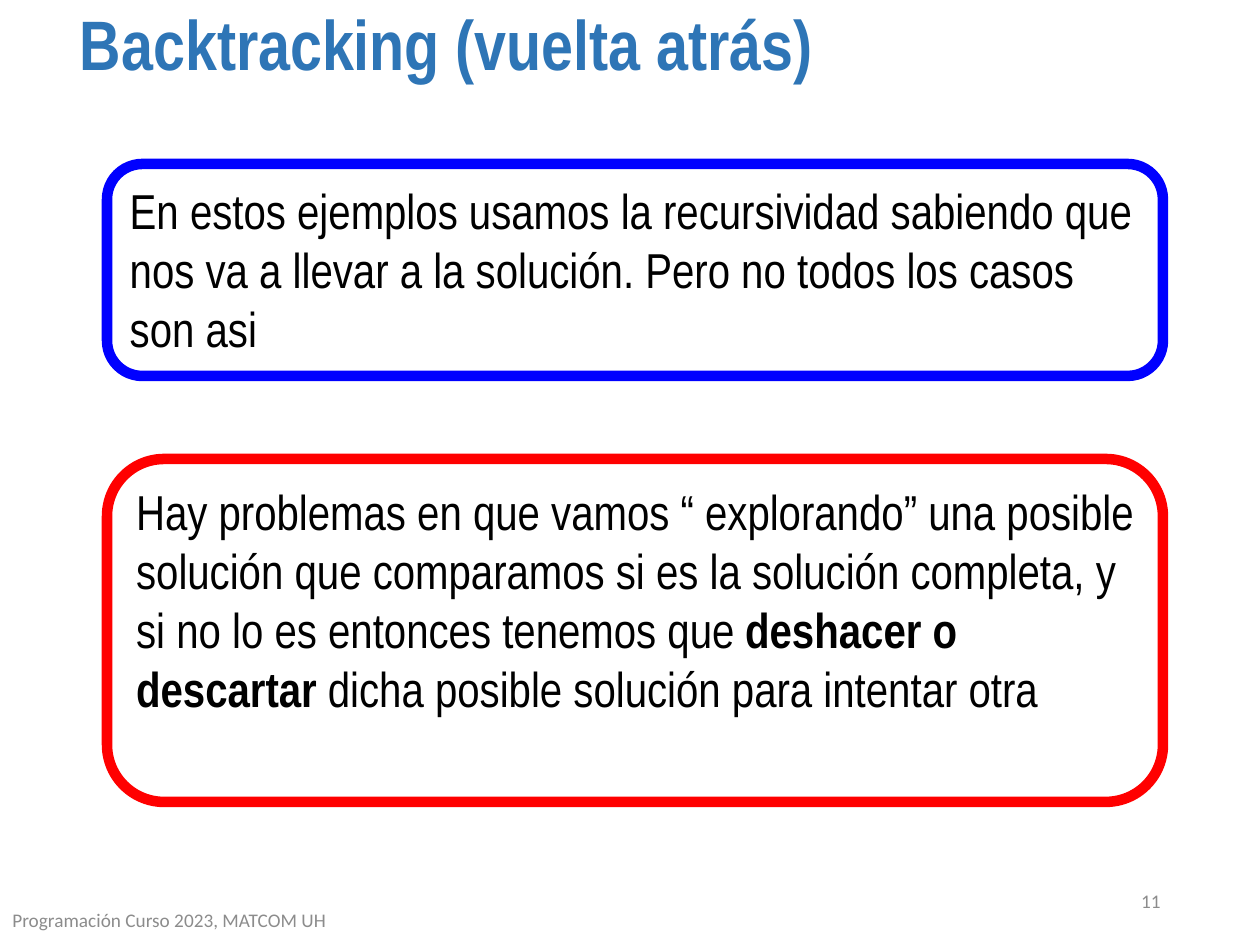
from dataclasses import dataclass

from pptx import Presentation
from pptx.dml.color import RGBColor
from pptx.enum.shapes import MSO_SHAPE as Preset
from pptx.enum.text import MSO_ANCHOR as Anchor, MSO_AUTO_SIZE as AutoSize, PP_ALIGN as Align
from pptx.util import Emu, Pt

EMU_PER_PX = 914400 // 126
BLACK = RGBColor(0x00, 0x00, 0x00)
WHITE = RGBColor(0xFF, 0xFF, 0xFF)
GREY = RGBColor(0x8C, 0x8C, 0x8C)
BLUE = RGBColor(0x00, 0x00, 0xFF)
RED = RGBColor(0xFF, 0x00, 0x00)
TITLE_BLUE = RGBColor(0x2E, 0x75, 0xB6)
BODY_FONT = "Arial Narrow"
FOOTER_FONT = "Calibri"
BOX_LEFT, BOX_WIDTH = 107, 1056


@dataclass(frozen=True)
class TextRun:
    text: str
    bold: bool = False


@dataclass(frozen=True)
class Box:
    top: int
    height: int
    outline: RGBColor
    fill: RGBColor | None
    runs: tuple[TextRun, ...]


@dataclass(frozen=True)
class FooterText:
    left: int
    top: int
    width: int
    text: str
    align: Align


BOXES = (
    Box(459, 343, RED, None, (
        TextRun("Hay problemas en que vamos “ explorando” una posible solución que "
                "comparamos si es la solución completa, y si no lo es entonces "
                "tenemos que "),
        TextRun("deshacer o descartar ", bold=True),
        TextRun("dicha posible solución para intentar otra"),
    )),
    Box(164, 212, BLUE, WHITE, (
        TextRun("En estos ejemplos usamos la recursividad sabiendo que nos va a "
                "llevar a la solución. Pero no todos los casos son asi"),
    )),
)
FOOTERS = (
    FooterText(0, 895, 756, "Programación Curso 2023, MATCOM UH", Align.LEFT),
    FooterText(890, 876, 283, "11", Align.RIGHT),
)


def px(length: int) -> Emu:
    return Emu(length * EMU_PER_PX)


def add_run(paragraph, content: TextRun, font_name: str, size: int, color: RGBColor) -> None:
    run = paragraph.add_run()
    run.text = content.text
    run.font.name = font_name
    run.font.size = Pt(size)
    run.font.bold = content.bold
    run.font.color.rgb = color


def fill_title(slide) -> None:
    title = slide.shapes.title
    title.left, title.top, title.width, title.height = px(14), px(0), px(853), px(228)
    frame = title.text_frame
    frame.auto_size = AutoSize.NONE
    frame.vertical_anchor = Anchor.TOP
    frame.margin_left, frame.margin_top = px(66), px(10)
    paragraph = frame.paragraphs[0]
    paragraph.alignment = Align.LEFT
    paragraph.line_spacing = 0.9
    add_run(paragraph, TextRun("Backtracking (vuelta atrás)", bold=True),
            BODY_FONT, 40, TITLE_BLUE)


def add_box(slide, box: Box) -> None:
    shape = slide.shapes.add_shape(Preset.ROUNDED_RECTANGLE, px(BOX_LEFT), px(box.top),
                                   px(BOX_WIDTH), px(box.height))
    shape.shadow.inherit = False
    if box.fill is None:
        shape.fill.background()
    else:
        shape.fill.solid()
        shape.fill.fore_color.rgb = box.fill
    shape.line.color.rgb = box.outline
    shape.line.width = Pt(6)
    frame = shape.text_frame
    frame.word_wrap = True
    frame.vertical_anchor = Anchor.TOP
    paragraph = frame.paragraphs[0]
    paragraph.alignment = Align.LEFT
    for content in box.runs:
        add_run(paragraph, content, BODY_FONT, 28, BLACK)


def add_footer(slide, footer: FooterText) -> None:
    text_box = slide.shapes.add_textbox(px(footer.left), px(footer.top),
                                        px(footer.width), px(50))
    frame = text_box.text_frame
    frame.word_wrap = True
    frame.vertical_anchor = Anchor.MIDDLE
    paragraph = frame.paragraphs[0]
    paragraph.alignment = footer.align
    add_run(paragraph, TextRun(footer.text), FOOTER_FONT, 11, GREY)


def main() -> None:
    presentation = Presentation()
    presentation.slide_width, presentation.slide_height = px(1260), px(945)
    slide = presentation.slides.add_slide(presentation.slide_layouts[0])
    subtitle = slide.placeholders[1].element
    subtitle.getparent().remove(subtitle)
    fill_title(slide)
    for footer in FOOTERS:
        add_footer(slide, footer)
    for box in BOXES:
        add_box(slide, box)
    presentation.save("out.pptx")


if __name__ == "__main__":
    main()
